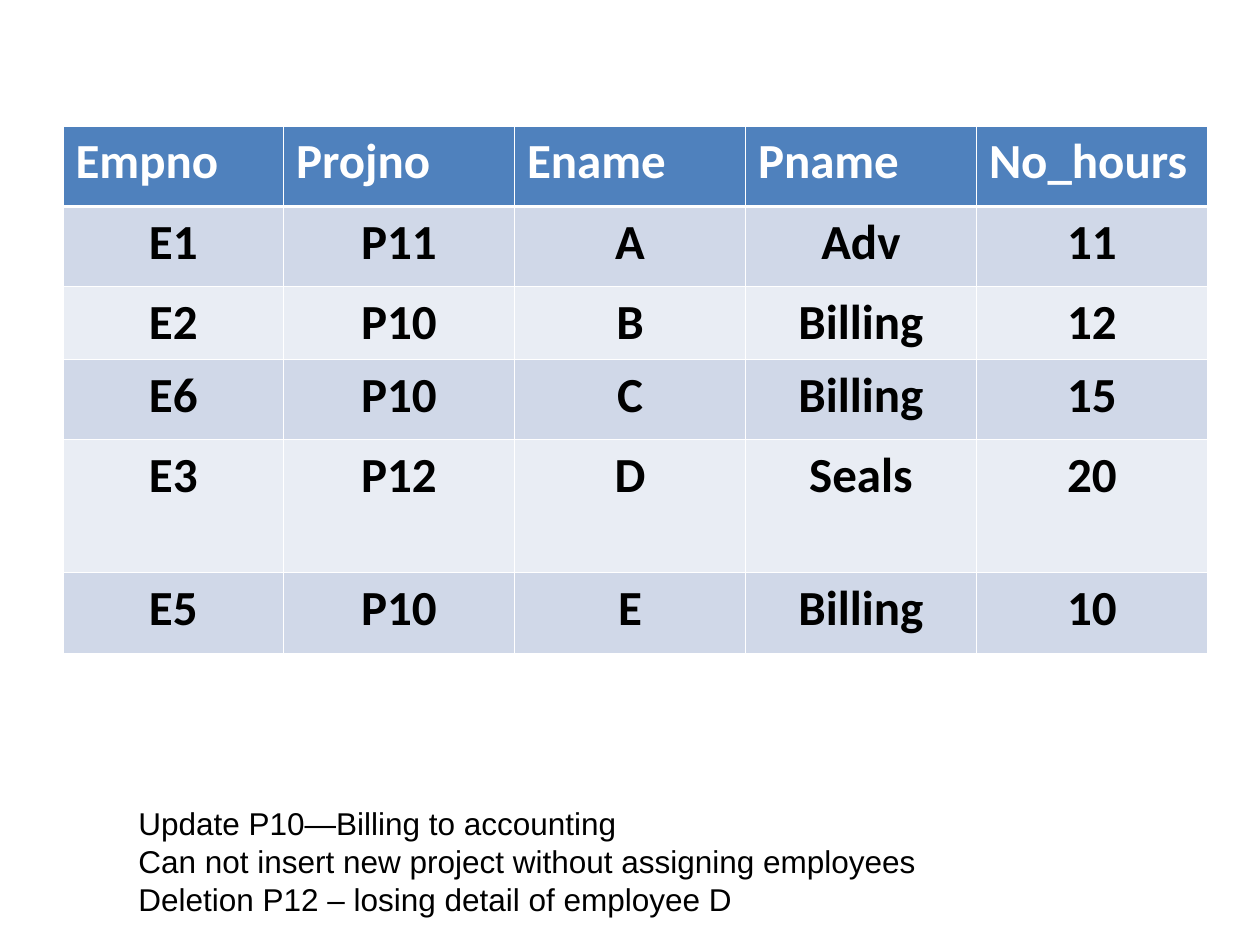
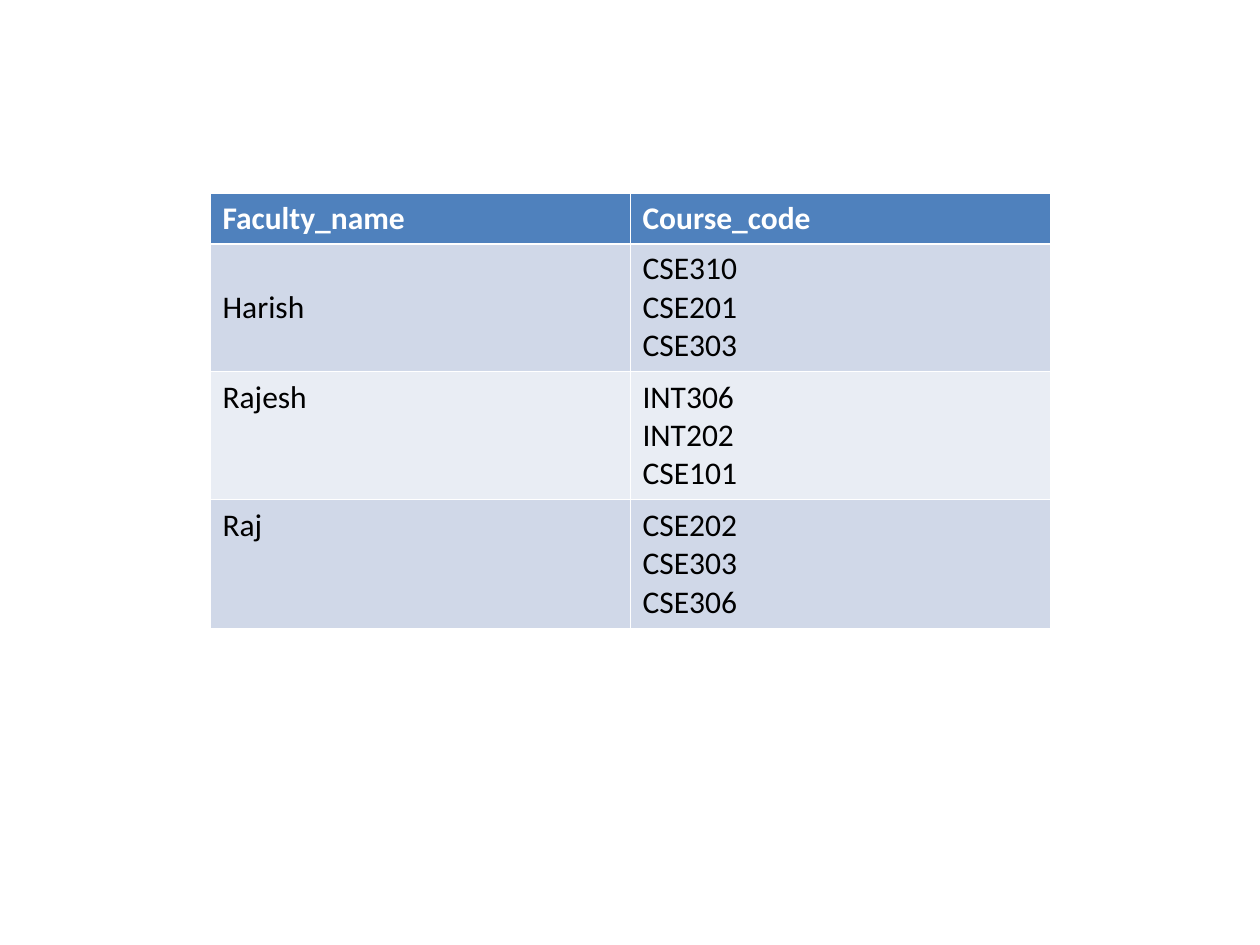
from lxml import etree
from pptx import Presentation
from pptx.dml.color import RGBColor
from pptx.enum.text import MSO_ANCHOR, MSO_AUTO_SIZE, PP_ALIGN
from pptx.oxml.ns import qn
from pptx.util import Inches, Pt

LEFT, CENTER = PP_ALIGN.LEFT, PP_ALIGN.CENTER
TOP, MIDDLE = MSO_ANCHOR.TOP, MSO_ANCHOR.MIDDLE
FIT_SHAPE = MSO_AUTO_SIZE.SHAPE_TO_FIT_TEXT

COLORS = {
    "header": "4F81BD",
    "band_dark": "D0D8E8",
    "band_light": "E9EDF4",
    "border": "FFFFFF",
    "header_text": "FFFFFF",
    "text": "000000",
}
TABLE_FONT, NOTE_FONT = "Calibri", "Arial"
SLIDE_W, SLIDE_H = Inches(10), Inches(7.5)
GRID_COLS, GRID_ROWS = 60, 45
THIN, THICK = Pt(0.45), Pt(1.47)

ASSIGNMENTS = [
    ["Empno", "Projno", "Ename", "Pname", "No_hours"],
    ["E1", "P11", "A", "Adv", "11"],
    ["E2", "P10", "B", "Billing", "12"],
    ["E6", "P10", "C", "Billing", "15"],
    ["E3", "P12", "D", "Seals", "20"],
    ["E5", "P10", "E", "Billing", "10"],
]
ANOMALIES = [
    "Update P10—Billing to accounting",
    "Can not insert new project without assigning employees",
    "Deletion P12 – losing detail of employee D",
]
COURSES = [
    ["Faculty_name", "Course_code"],
    ["Harish", "CSE310\nCSE201\nCSE303"],
    ["Rajesh", "INT306\nINT202\nCSE101"],
    ["Raj", "CSE202\nCSE303\nCSE306"],
]


def across(cols):
    """Return the width of a number of grid columns."""
    return round(SLIDE_W * cols / GRID_COLS)


def down(rows):
    """Return the height of a number of grid rows."""
    return round(SLIDE_H * rows / GRID_ROWS)


def style_text(tf, font, size, color, bold=False, align=LEFT):
    """Format every paragraph and run of a text frame."""
    for p in tf.paragraphs:
        p.alignment = align
        for r in p.runs:
            r.font.name, r.font.size, r.font.bold = font, Pt(size), bold
            r.font.color.rgb = RGBColor.from_string(COLORS[color])


def set_borders(cell, top, bottom):
    """Draw the four borders of a cell."""
    tc_pr = cell._tc.get_or_add_tcPr()
    for side, width in (("L", THIN), ("R", THIN), ("T", top), ("B", bottom)):
        ln = etree.SubElement(tc_pr, qn(f"a:ln{side}"), w=str(int(width)))
        fill = etree.SubElement(ln, qn("a:solidFill"))
        etree.SubElement(fill, qn("a:srgbClr"), val=COLORS["border"])


def add_banded_table(s, left, top, col_widths, row_heights, data, size,
                     body_bold=False, body_align=LEFT):
    """Add a table with a blue header and banded rows, measured in grid units."""
    table = s.shapes.add_table(
        len(data), len(data[0]), across(left), down(top),
        across(sum(col_widths)), down(sum(row_heights))).table
    for column, width in zip(table.columns, col_widths):
        column.width = across(width)
    for i, (values, height) in enumerate(zip(data, row_heights)):
        table.rows[i].height = down(height)
        header = i == 0
        band = "header" if header else "band_dark" if i % 2 else "band_light"
        for j, value in enumerate(values):
            cell = table.cell(i, j)
            cell.text_frame.text = value
            set_borders(cell, THICK if i == 1 else THIN, THICK if header else THIN)
            cell.fill.solid()
            cell.fill.fore_color.rgb = RGBColor.from_string(COLORS[band])
            style_text(cell.text_frame, TABLE_FONT, size,
                       "header_text" if header else "text",
                       header or body_bold, LEFT if header else body_align)
            cell.vertical_anchor = TOP
    return table


def add_note(s, left, top, width, height, lines):
    """Add a block of plain lines in a box measured in grid units."""
    tf = s.shapes.add_textbox(across(left), down(top), across(width), down(height)).text_frame
    tf.word_wrap = True
    tf.auto_size = FIT_SHAPE
    tf.text = "\n".join(lines)
    style_text(tf, NOTE_FONT, 18, "text")


def build_assignments(s):
    """Place the project assignment table and its anomalies."""
    add_banded_table(s, 3, 6, [10.5] + [11] * 4, [3.83, 3.83, 3.45, 3.83, 6.33, 3.83],
                     ASSIGNMENTS, 28, body_bold=True, body_align=CENTER)
    add_note(s, 6, 38, 49.5, 6, ANOMALIES)


def build_courses(s):
    """Place the table of faculty and their courses."""
    table = add_banded_table(s, 10, 9.2, [20] * 2, [2.4] + [6.1] * 3, COURSES, 18)
    table.cell(1, 0).vertical_anchor = MIDDLE


def main():
    """Build and save the presentation."""
    prs = Presentation()
    prs.slide_width, prs.slide_height = SLIDE_W, SLIDE_H
    for build in (build_assignments, build_courses):
        build(prs.slides.add_slide(prs.slide_layouts[6]))
    prs.save("out.pptx")


if __name__ == "__main__":
    main()
